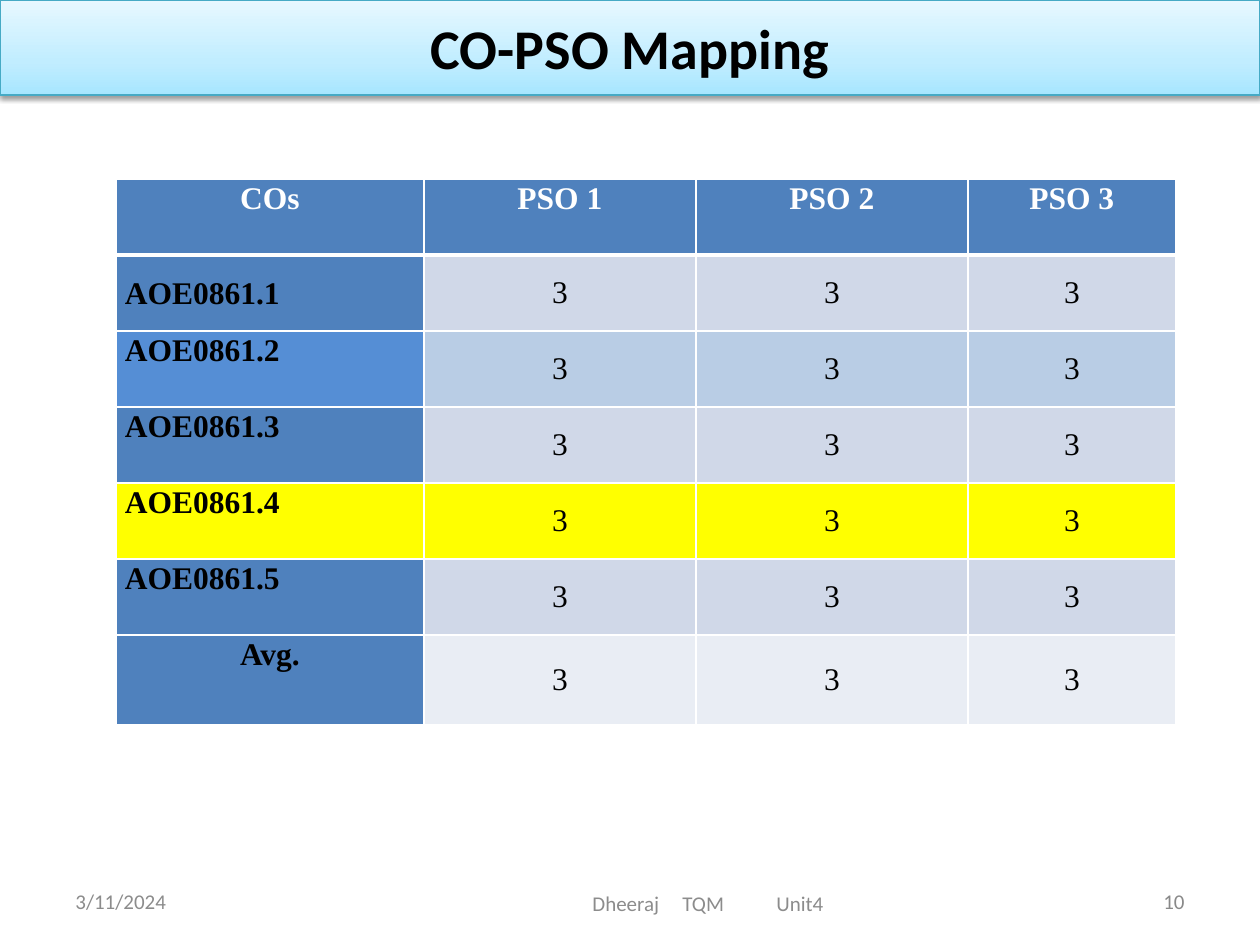
from copy import deepcopy

from lxml import etree
from pptx import Presentation
from pptx import util as u
from pptx.dml.color import RGBColor
from pptx.enum import shapes, text
from pptx.oxml import ns

SCALE = 914400 // 126
WHITE = RGBColor(0xFF, 0xFF, 0xFF)
BLACK = RGBColor(0, 0, 0)
GRAY = RGBColor(0x8C, 0x8C, 0x8C)
NUMBER_GRAY = RGBColor(0x89, 0x89, 0x89)
TEAL = RGBColor(0x46, 0xAA, 0xC5)
BLUE = RGBColor(0x4F, 0x81, 0xBD)
BRIGHT_BLUE = RGBColor(0x55, 0x8E, 0xD5)
PALE_BLUE = RGBColor(0xD0, 0xD8, 0xE8)
SOFT_BLUE = RGBColor(0xB9, 0xCD, 0xE5)
LIGHT_BLUE = RGBColor(0xE9, 0xED, 0xF4)
YELLOW = RGBColor(0xFF, 0xFF, 0)
TITLE_STOPS = [
    (0, RGBColor(0xA7, 0xE6, 0xFF)),
    (0.35, RGBColor(0xC1, 0xED, 0xFF)),
    (1, RGBColor(0xE7, 0xF8, 0xFF)),
]
LEFT, CENTER, RIGHT = text.PP_ALIGN.LEFT, text.PP_ALIGN.CENTER, text.PP_ALIGN.RIGHT
TOP, MIDDLE = text.MSO_ANCHOR.TOP, text.MSO_ANCHOR.MIDDLE

HEADINGS = ["COs", "PSO 1", "PSO 2", "PSO 3"]
OUTCOMES = [
    ("AOE0861.1", BLUE, PALE_BLUE),
    ("AOE0861.2", BRIGHT_BLUE, SOFT_BLUE),
    ("AOE0861.3", BLUE, PALE_BLUE),
    ("AOE0861.4", YELLOW, YELLOW),
    ("AOE0861.5", BLUE, PALE_BLUE),
    ("Avg.", BLUE, LIGHT_BLUE),
]
COLUMN_WIDTHS = [308, 272, 272, 208]
ROW_HEIGHTS = [76] * 6 + [90]


def px(*lengths):
    return [u.Emu(length * SCALE) for length in lengths]


def add_child(parent, tag, **attributes):
    child = etree.SubElement(parent, ns.qn(tag))
    for name, value in attributes.items():
        child.set(name, str(value))
    return child


def write(frame, words, size=12, font="Calibri", color=GRAY, bold=False,
          align=LEFT, spacing=None, tabs=()):
    para = frame.paragraphs[0]
    para.alignment = align
    if spacing:
        para.line_spacing = spacing
    if tabs:
        tab_list = add_child(para._p.get_or_add_pPr(), "a:tabLst")
        for position in px(*tabs):
            add_child(tab_list, "a:tab", pos=position, algn="l")
    span = para.add_run()
    span.text = words
    span.font.size = u.Pt(size)
    span.font.name = font
    span.font.bold = bold
    span.font.color.rgb = color


def add_title(page, words):
    box = page.shapes.add_shape(shapes.MSO_SHAPE.RECTANGLE, *px(0, 0, 1260, 95))
    box.line.color.rgb = TEAL
    box.line.width = u.Pt(0.75)
    box.fill.gradient()
    box.fill.gradient_angle = 90
    properties = box._element.spPr
    stop_list = properties.find(".//" + ns.qn("a:gsLst"))
    stop_list.append(deepcopy(stop_list[-1]))
    for stop, (position, color) in zip(box.fill.gradient_stops, TITLE_STOPS):
        stop.position = position
        stop.color.rgb = color
    box.shadow.inherit = False
    shadow = add_child(properties.find(ns.qn("a:effectLst")), "a:outerShdw",
                       blurRad=u.Pt(3.1), dist=u.Pt(1.6), dir=5400000, rotWithShape=0)
    add_child(add_child(shadow, "a:srgbClr", val=BLACK), "a:alpha", val=38000)
    box.text_frame.vertical_anchor = MIDDLE
    write(box.text_frame, words, size=32, color=BLACK, bold=True, align=CENTER)


def add_footer(page, words, left, top, width, height, **style):
    box = page.shapes.add_textbox(*px(left, top, width, height))
    box.text_frame.word_wrap = True
    box.text_frame.vertical_anchor = MIDDLE
    write(box.text_frame, words, **style)


def add_borders(cell, top=1, bottom=1):
    properties = cell._tc.get_or_add_tcPr()
    for side, width in zip("LRTB", (1, 1, top, bottom)):
        line = add_child(properties, "a:ln" + side, w=u.Pt(width))
        add_child(add_child(line, "a:solidFill"), "a:srgbClr", val=WHITE)


def fill_cell(cell, words, fill, anchor=TOP, top=1, bottom=1, **style):
    add_borders(cell, top, bottom)
    cell.fill.solid()
    cell.fill.fore_color.rgb = fill
    cell.vertical_anchor = anchor
    cell.margin_left, cell.margin_right, cell.margin_top, cell.margin_bottom = px(9, 9, 0, 0)
    write(cell.text_frame, words, size=18, font="Times New Roman", **style)


def add_mapping(page):
    table = page.shapes.add_table(
        len(ROW_HEIGHTS), len(COLUMN_WIDTHS),
        *px(116, 179, sum(COLUMN_WIDTHS), sum(ROW_HEIGHTS))).table
    for column, width in zip(table.columns, px(*COLUMN_WIDTHS)):
        column.width = width
    for row, height in zip(table.rows, px(*ROW_HEIGHTS)):
        row.height = height
    for column, heading in enumerate(HEADINGS):
        fill_cell(table.cell(0, column), heading, BLUE, bottom=3, color=WHITE,
                  bold=True, align=CENTER, spacing=1.07)
    for row, (name, name_fill, value_fill) in enumerate(OUTCOMES, 1):
        top = 3 if row == 1 else 1
        fill_cell(table.cell(row, 0), name, name_fill, top=top,
                  anchor=MIDDLE if row == 1 else TOP, color=BLACK, bold=True,
                  align=CENTER if name == "Avg." else LEFT, spacing=1.07)
        for column in range(1, len(HEADINGS)):
            fill_cell(table.cell(row, column), "3", value_fill, top=top,
                      anchor=MIDDLE, color=BLACK, align=CENTER)


def main():
    deck = Presentation()
    deck.slide_width, deck.slide_height = px(1260, 945)
    page = deck.slides.add_slide(deck.slide_layouts[6])
    add_title(page, "CO-PSO Mapping")
    add_footer(page, "Dheeraj\tTQM\tUnit4", 580, 881, 270, 45, tabs=(90, 184))
    add_footer(page, "10", 903, 876, 294, 50, color=NUMBER_GRAY, align=RIGHT)
    add_footer(page, "3/11/2024", 63, 876, 294, 50)
    add_mapping(page)
    deck.save("out.pptx")


if __name__ == "__main__":
    main()
